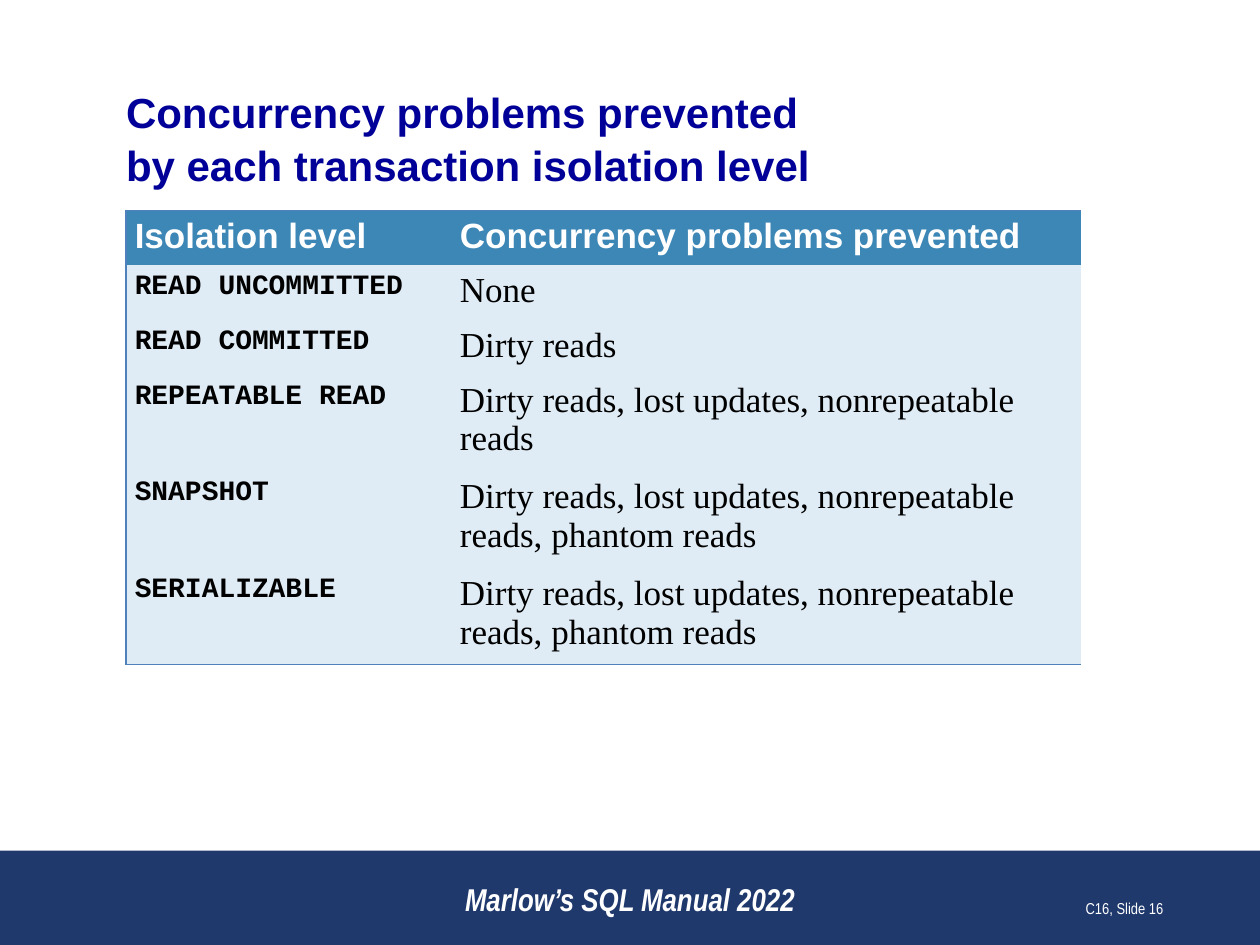
from lxml.etree import SubElement
from pptx import Presentation
from pptx.dml.color import RGBColor
from pptx.enum.shapes import MSO_SHAPE
from pptx.enum.text import MSO_ANCHOR, PP_ALIGN
from pptx.oxml.ns import qn
from pptx.util import Inches, Pt

COLORS = {
    "title": "000099", "band": "20396D", "header": "3D87B7",
    "body": "DFECF5", "border": "4F81BD", "white": "FFFFFF", "black": "000000",
}
ROWS = [
    ("Isolation level", "Concurrency problems prevented"),
    ("READ UNCOMMITTED", "None"),
    ("READ COMMITTED", "Dirty reads"),
    ("REPEATABLE READ", "Dirty reads, lost updates, nonrepeatable reads"),
    ("SNAPSHOT", "Dirty reads, lost updates, nonrepeatable reads, phantom reads"),
    ("SERIALIZABLE", "Dirty reads, lost updates, nonrepeatable reads, phantom reads"),
]
COLUMN_WIDTHS = (2.58, 5)
ROW_HEIGHTS = (0.41, 0.41, 0.41, 0.71, 0.71, 0.71)


def style_text(frame, font, size, color, bold=False, italic=False):
    for para in frame.paragraphs:
        for span in para.runs:
            span.font.name = font
            span.font.size = Pt(size)
            span.font.bold = bold
            span.font.italic = italic
            span.font.color.rgb = RGBColor.from_string(COLORS[color])


def set_borders(cell, sides):
    """Draw the given sides (L, R, T, B) and clear the others."""
    properties = cell._tc.get_or_add_tcPr()
    for side in "LRTB":
        line = SubElement(properties, qn(f"a:ln{side}"), w=str(Pt(1)))
        if side in sides:
            fill = SubElement(line, qn("a:solidFill"))
            SubElement(fill, qn("a:srgbClr"), val=COLORS["border"])
        else:
            SubElement(line, qn("a:noFill"))


deck = Presentation()
deck.slide_width, deck.slide_height = Inches(10), Inches(7.5)
page = deck.slides.add_slide(deck.slide_layouts[5])

# Footer band
band_height = deck.slide_height // 10
band = page.shapes.add_shape(
    MSO_SHAPE.RECTANGLE, 0, deck.slide_height - band_height, deck.slide_width, band_height)
band.shadow.inherit = False
band.fill.solid()
band.fill.fore_color.rgb = RGBColor.from_string(COLORS["band"])
band.line.fill.background()

# Title
title = page.shapes.title
title.left, title.top, title.width, title.height = map(Inches, (1, 0.68, 8, 0.81))
frame = title.text_frame
frame.text = "Concurrency problems prevented \vby each transaction isolation level"
frame.margin_left = frame.margin_right = frame.margin_top = frame.margin_bottom = 0
frame.vertical_anchor = MSO_ANCHOR.MIDDLE
frame.word_wrap = True
frame.paragraphs[0].alignment = PP_ALIGN.LEFT
frame.paragraphs[0].line_spacing = 1.05
frame.paragraphs[0].space_after = Pt(6)
style_text(frame, "Arial", 24, "title", bold=True)

# Footer texts
for text, left, width, align, size, strong in (
    ("Marlow’s SQL Manual 2022", 3, 4, PP_ALIGN.CENTER, 18, True),
    ("C16, Slide 16", 7.25, 2.08, PP_ALIGN.RIGHT, 9, False),
):
    box = page.shapes.add_textbox(Inches(left), Inches(6.83), Inches(width), Inches(0.5))
    frame = box.text_frame
    frame.text = text
    frame.word_wrap = True
    frame.vertical_anchor = MSO_ANCHOR.BOTTOM
    frame.paragraphs[0].alignment = align
    style_text(frame, "Arial Narrow", size, "white", bold=strong, italic=strong)

# Isolation level table
table = page.shapes.add_table(
    len(ROWS), len(COLUMN_WIDTHS), Inches(1), Inches(1.67),
    Inches(sum(COLUMN_WIDTHS)), Inches(sum(ROW_HEIGHTS))).table
table.horz_banding = False
for column, width in zip(table.columns, COLUMN_WIDTHS):
    column.width = Inches(width)

for row, (texts, height) in enumerate(zip(ROWS, ROW_HEIGHTS)):
    table.rows[row].height = Inches(height)
    for column, text in enumerate(texts):
        cell = table.cell(row, column)
        cell.text = text
        cell.margin_left = cell.margin_right = Inches(0.07)
        cell.margin_top = cell.margin_bottom = Inches(0.05)
        para = cell.text_frame.paragraphs[0]
        para.space_before = Pt(6)
        para.space_after = Pt(9 if row == len(ROWS) - 1 else 6)
        if row == 0:
            style_text(cell.text_frame, "Arial", 20, "white", bold=True)
        elif column == 0:
            style_text(cell.text_frame, "Courier New", 16, "black", bold=True)
        else:
            style_text(cell.text_frame, "Times New Roman", 20, "black")

        sides = "L" if column == 0 else ""
        if row == 0:
            sides += "T"
        if row == len(ROWS) - 1:
            sides += "B"
        set_borders(cell, sides)
        cell.fill.solid()
        cell.fill.fore_color.rgb = RGBColor.from_string(COLORS["header" if row == 0 else "body"])

deck.save("out.pptx")
